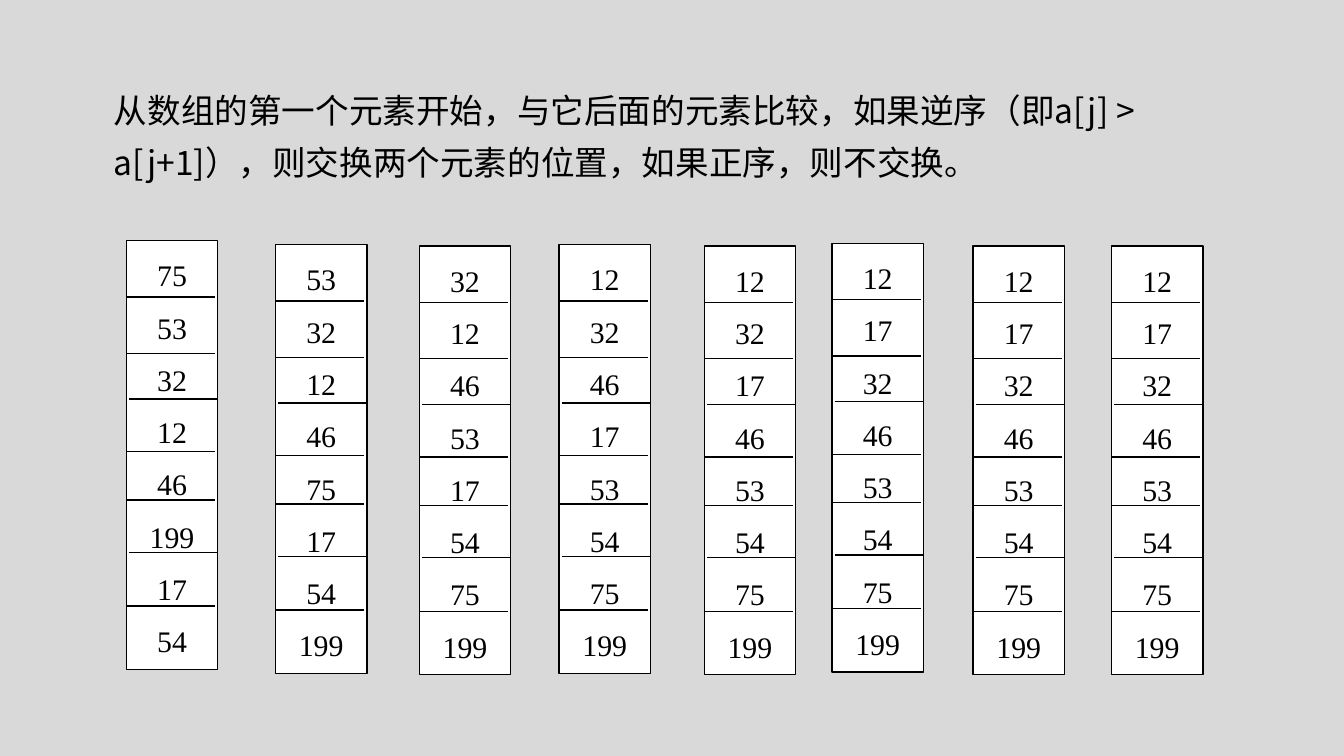
from pptx import Presentation
from pptx.util import Inches, Pt
from pptx.dml.color import RGBColor
from pptx.enum.shapes import MSO_SHAPE as Shape, MSO_CONNECTOR as Link
from pptx.enum.text import PP_ALIGN as Align, MSO_ANCHOR as Anchor, MSO_AUTO_SIZE as Fit
from pptx.oxml.ns import qn
from lxml.etree import SubElement

# Content: the rule, then each pass as (left, top, values)
RULE = ("从数组的第一个元素开始，与它后面的元素比较，如果逆序（即a[j] > a[j+1]），"
        "则交换两个元素的位置，如果正序，则不交换。")
PASSES = [
    (0.94, 1.79, [75, 53, 32, 12, 46, 199, 17, 54]),
    (2.05, 1.82, [53, 32, 12, 46, 75, 17, 54, 199]),
    (3.12, 1.83, [32, 12, 46, 53, 17, 54, 75, 199]),
    (4.16, 1.82, [12, 32, 46, 17, 53, 54, 75, 199]),
    (5.24, 1.83, [12, 32, 17, 46, 53, 54, 75, 199]),
    (6.19, 1.81, [12, 17, 32, 46, 53, 54, 75, 199]),
    (7.24, 1.83, [12, 17, 32, 46, 53, 54, 75, 199]),
    (8.27, 1.83, [12, 17, 32, 46, 53, 54, 75, 199]),
]
# Dividers inside a column: (shift right, drop from its top)
CUTS = [(0, 0.42), (0, 0.84), (0.02, 1.18), (0, 1.57),
        (0, 1.93), (0.02, 2.32), (0, 2.72)]
WIDE, HIGH, CUT = 0.68, 3.19, 0.66
SANS, SERIF = "Noto Sans CJK SC", "Times New Roman"
INK, PAPER, BACK = "000000", "FFFFFF", "D9D9D9"


def color(code):
    return RGBColor.from_string(code)


def paint(fill, code):
    fill.solid()
    fill.fore_color.rgb = color(code)


def stroke(line):
    line.color.rgb = color(INK)
    line.width = Pt(0.75)


def style(font, name, size):
    font.name = name
    font.size = Pt(size)
    font.color.rgb = color(INK)


def add_rule(slide):
    box = slide.shapes.add_textbox(Inches(0.75), Inches(0.53), Inches(8.47), Inches(0.88))
    frame = box.text_frame
    frame.word_wrap = True
    frame.auto_size = Fit.SHAPE_TO_FIT_TEXT
    para = frame.paragraphs[0]
    para.text = RULE
    para.line_spacing = 1.3
    style(para.font, SANS, 18)
    # East Asian typeface
    props = para._p.pPr.find(qn("a:defRPr"))
    SubElement(props, qn("a:ea"), typeface=SANS)


def add_column(slide, left, top, values):
    box = slide.shapes.add_shape(Shape.RECTANGLE, Inches(left), Inches(top),
                                 Inches(WIDE), Inches(HIGH))
    box.shadow.inherit = False
    paint(box.fill, PAPER)
    stroke(box.line)
    frame = box.text_frame
    frame.vertical_anchor = Anchor.TOP
    frame.margin_left = frame.margin_right = 0
    frame.margin_top = frame.margin_bottom = 0
    frame.text = "\n".join(map(str, values))
    for para in frame.paragraphs:
        para.alignment = Align.CENTER
        para.line_spacing = Pt(28)
        style(para.font, SERIF, 16)


def add_cut(slide, left, top):
    y = Inches(top)
    line = slide.shapes.add_connector(Link.STRAIGHT, Inches(left), y, Inches(left + CUT), y)
    stroke(line.line)
    SubElement(line._element.spPr, qn("a:effectLst"))


def main():
    deck = Presentation()
    # Widescreen, 16 to 9
    deck.slide_width = Inches(10)
    deck.slide_height = Inches(10 * 9 / 16)
    slide = deck.slides.add_slide(deck.slide_layouts[6])
    paint(slide.background.fill, BACK)

    add_rule(slide)
    # One column per sorting pass
    for left, top, values in PASSES:
        add_column(slide, left, top, values)
        for shift, drop in CUTS:
            add_cut(slide, left + shift, top + drop)

    deck.save("out.pptx")


if __name__ == "__main__":
    main()
